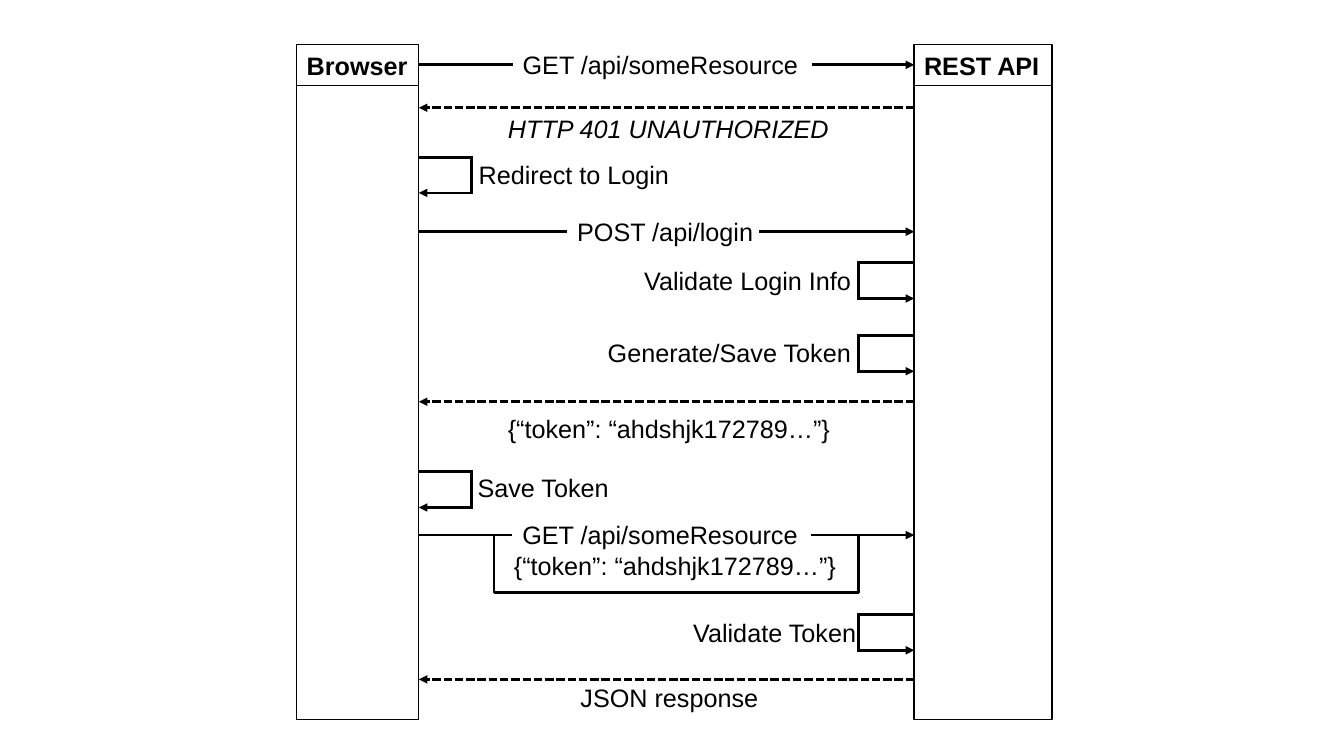
from pptx import Presentation
from pptx.dml.color import RGBColor
from pptx.enum.dml import MSO_LINE
from pptx.enum.shapes import MSO_CONNECTOR, MSO_SHAPE
from pptx.enum.text import MSO_ANCHOR, MSO_AUTO_SIZE, PP_ALIGN
from pptx.oxml.ns import qn
from pptx.util import Pt
from lxml import etree

STRAIGHT = MSO_CONNECTOR.STRAIGHT
RECTANGLE = MSO_SHAPE.RECTANGLE
DASHED = MSO_LINE.SQUARE_DOT
MIDDLE = MSO_ANCHOR.MIDDLE
TOP = MSO_ANCHOR.TOP
LEFT = PP_ALIGN.LEFT
FIT_TEXT = MSO_AUTO_SIZE.SHAPE_TO_FIT_TEXT

BROWSER_LEFT, BROWSER_WIDTH = 212, 87.2
API_LEFT, API_WIDTH = 653, 98.6
BROWSER_EDGE = BROWSER_LEFT + BROWSER_WIDTH
BROWSER_ELBOW, API_ELBOW = 337, 613.4
HEADER_TOP, ROW_HEIGHT = 31.8, 29.1
LIFELINE_HEIGHT = 453
LOOP_HEIGHT = 25.5


def color(hex_code):
    return RGBColor.from_string(hex_code)


def write(frame, text, size=18, bold=False, italic=False, ink="000000", anchor=TOP):
    frame.word_wrap = False
    frame.auto_size = FIT_TEXT
    frame.vertical_anchor = anchor
    paragraph = frame.paragraphs[0]
    paragraph.alignment = LEFT
    run = paragraph.add_run()
    run.text = text
    run.font.name = "Arial"
    run.font.size = Pt(size)
    run.font.bold = bold
    run.font.italic = italic
    run.font.color.rgb = color(ink)


class SequenceDiagram:
    ink = "000000"
    paper = "FFFFFF"
    box_weight = 1
    arrow_weight = 2

    def __init__(self, slide):
        self.shapes = slide.shapes

    def box(self, left, top, width, height):
        box = self.shapes.add_shape(RECTANGLE, Pt(left), Pt(top), Pt(width), Pt(height))
        box.shadow.inherit = False
        box.fill.solid()
        box.fill.fore_color.rgb = color(self.paper)
        box.line.color.rgb = color(self.ink)
        box.line.width = Pt(self.box_weight)
        return box

    def participant(self, title, left, width):
        header = self.box(left, HEADER_TOP, width, ROW_HEIGHT)
        write(header.text_frame, title, bold=True, ink=self.ink, anchor=MIDDLE)
        self.box(left, HEADER_TOP + ROW_HEIGHT, width, LIFELINE_HEIGHT)

    def label(self, text, left, top, width, **style):
        label = self.shapes.add_textbox(Pt(left), Pt(top), Pt(width), Pt(ROW_HEIGHT))
        write(label.text_frame, text, ink=self.ink, **style)

    def line(self, x1, y1, x2, y2, arrow=False, dashed=False):
        line = self.shapes.add_connector(STRAIGHT, Pt(x1), Pt(y1), Pt(x2), Pt(y2))
        line.line.color.rgb = color(self.ink)
        line.line.width = Pt(self.arrow_weight)
        if dashed:
            line.line.dash_style = DASHED
        if arrow:
            etree.SubElement(line.line._get_or_add_ln(), qn("a:tailEnd"), type="triangle")
        etree.SubElement(line._element.spPr, qn("a:effectLst"))

    def request(self, y, gap_start, gap_end):
        self.line(BROWSER_EDGE, y, gap_start, y)
        self.line(gap_end, y, API_LEFT, y, arrow=True)

    def response(self, y):
        self.line(API_LEFT, y, BROWSER_EDGE, y, arrow=True, dashed=True)

    def self_call(self, edge, elbow, top):
        bottom = top + LOOP_HEIGHT
        self.line(edge, top, elbow, top)
        self.line(elbow, top - 1, elbow, bottom + 1)
        self.line(elbow, bottom, edge, bottom, arrow=True)

    def bracket(self, left, right, top, bottom):
        for x in (left, right):
            self.line(x, top, x, bottom)
        self.line(left, bottom, right, bottom)


def main():
    presentation = Presentation()
    presentation.slide_width, presentation.slide_height = Pt(960), Pt(540)
    slide = presentation.slides.add_slide(presentation.slide_layouts[6])
    diagram = SequenceDiagram(slide)

    diagram.participant("Browser", BROWSER_LEFT, BROWSER_WIDTH)
    diagram.participant("REST API", API_LEFT, API_WIDTH)

    for y, gap_start, gap_end in (
        (46.3, 366.3, 579.8), (165.5, 405.2, 542.2), (382.2, 366, 579.5),
    ):
        diagram.request(y, gap_start, gap_end)
    for y in (77, 287, 485.3):
        diagram.response(y)
    for top in (112.3, 337):
        diagram.self_call(BROWSER_EDGE, BROWSER_ELBOW, top)
    for top in (187.7, 239.7, 439):
        diagram.self_call(API_LEFT, API_ELBOW, top)
    diagram.bracket(352.8, API_ELBOW, 382.2, 423.4)

    diagram.label("HTTP 401 UNAUTHORIZED", 355.7, 77.3, 246.2, italic=True)
    token = "{“token”: “ahdshjk172789…”}"
    for text, left, top, width in (
        ("GET /api/someResource", 366.3, 31.8, 213.4),
        ("Redirect to Login", 334.8, 110.3, 152),
        ("POST /api/login", 405.2, 151, 141),
        ("Validate Login Info", 453, 185.8, 163.6),
        ("Generate/Save Token", 427, 237.6, 190),
        (token, 355.7, 291.8, 247),
        ("Save Token", 334, 333.6, 109.5),
        ("GET /api/someResource", 366, 367.7, 213.4),
        (token, 360, 389.7, 247),
        ("Validate Token", 488, 437.2, 132),
        ("JSON response", 407.5, 484, 142.5),
    ):
        diagram.label(text, left, top, width)

    presentation.save("out.pptx")


if __name__ == "__main__":
    main()
